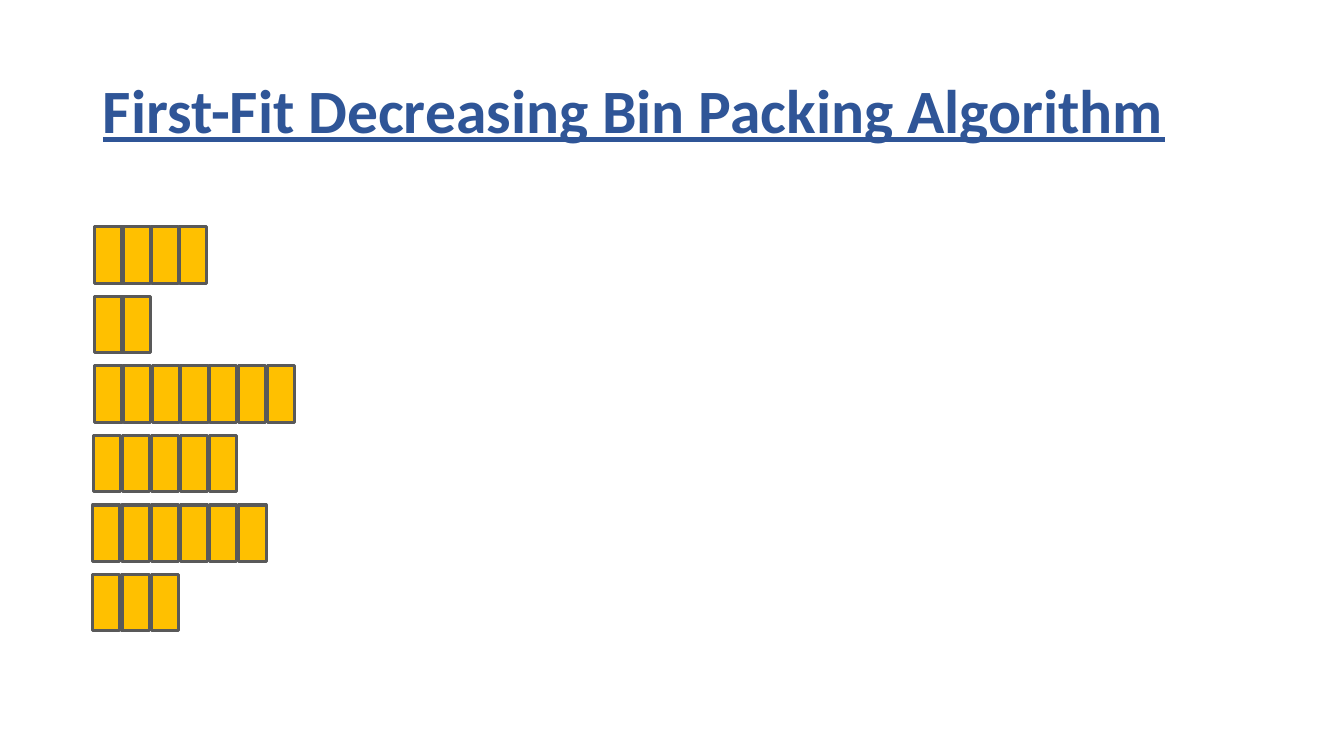
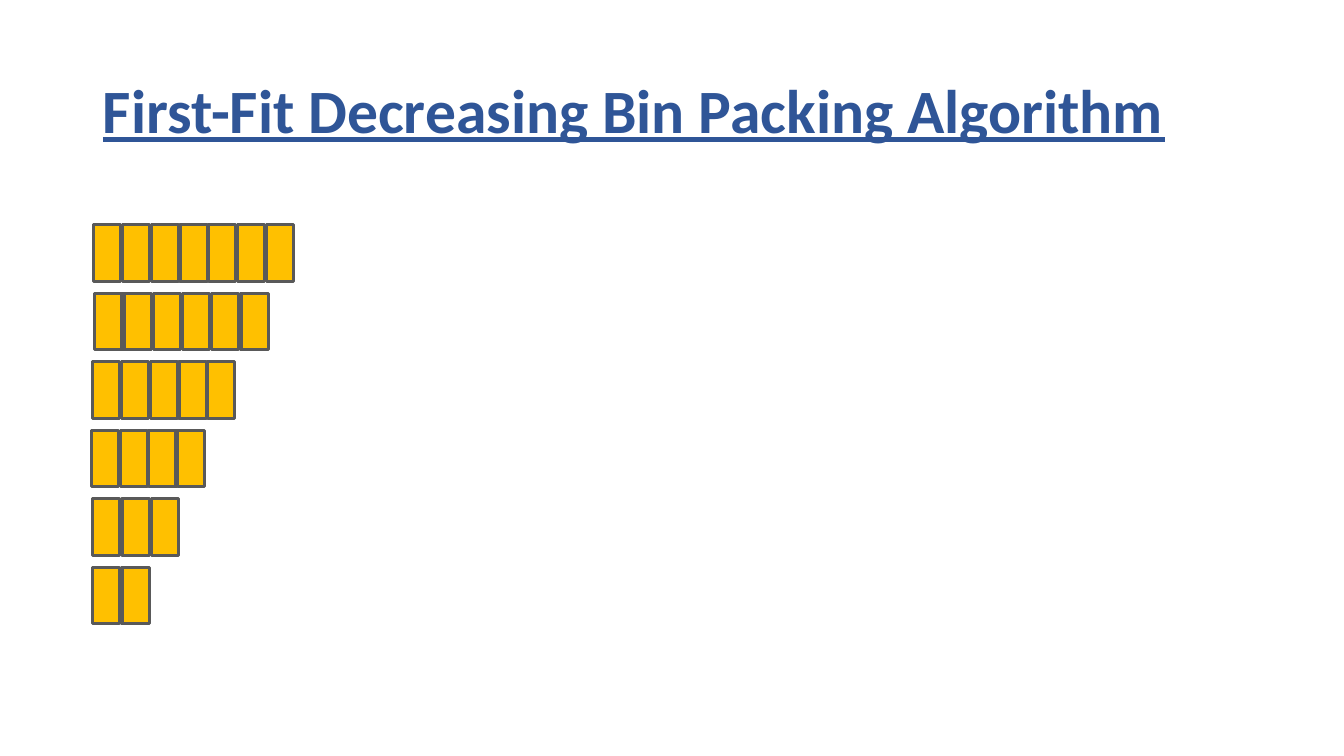
import pptx
import pptx.util
import pptx.dml.color
import pptx.enum.shapes
import pptx.enum.text

TITLE = "First-Fit Decreasing Bin Packing Algorithm"
COLORS = {"title": "2F5597", "item": "FFC000", "outline": "595959"}
FONT = "Calibri"
SLIDES = [
    {"top": 2.25, "row_pitch": 0.69, "items": [
        (4, 0.94, 1.78), (2, 0.94, 1.22), (7, 0.94, 2.65),
        (5, 0.93, 2.08), (6, 0.92, 2.37), (3, 0.92, 1.5)]},
    {"top": 2.23, "row_pitch": 0.68, "items": [
        (7, 0.93, 2.64), (6, 0.94, 2.39), (5, 0.92, 2.06),
        (4, 0.91, 1.76), (3, 0.92, 1.5), (2, 0.92, 1.21)]},
]
UNIT_WIDTH, UNIT_HEIGHT = 0.27, 0.56

inches = pptx.util.Inches


def color(name):
    return pptx.dml.color.RGBColor.from_string(COLORS[name])


def place_title(page):
    box = page.shapes.title
    box.left, box.top, box.width, box.height = map(inches, (0.92, 0.4, 11.5, 1.45))
    frame = box.text_frame
    frame.text = TITLE
    frame.word_wrap = True
    frame.auto_size = pptx.enum.text.MSO_AUTO_SIZE.NONE
    frame.vertical_anchor = pptx.enum.text.MSO_ANCHOR.MIDDLE
    para = frame.paragraphs[0]
    para.alignment = pptx.enum.text.PP_ALIGN.LEFT
    para.line_spacing = 0.9
    para.font.name = FONT
    para.font.size = pptx.util.Pt(44)
    para.font.bold = True
    para.font.underline = True
    para.font.color.rgb = color("title")


def draw_unit(page, left, top):
    unit = page.shapes.add_shape(
        pptx.enum.shapes.MSO_SHAPE.RECTANGLE,
        *map(inches, (left, top, UNIT_WIDTH, UNIT_HEIGHT)))
    unit.shadow.inherit = False
    unit.fill.solid()
    unit.fill.fore_color.rgb = color("item")
    unit.line.color.rgb = color("outline")
    unit.line.width = pptx.util.Pt(2.25)


def draw_items(page, top, row_pitch, items):
    for row, (size, first, last) in enumerate(items):
        unit_pitch = (last - first) / (size - 1)
        for column in range(size):
            draw_unit(page, first + column * unit_pitch, top + row * row_pitch)


deck = pptx.Presentation()
deck.slide_width, deck.slide_height = inches(13.33), inches(7.5)
title_only = deck.slide_layouts.get_by_name("Title Only")
for content in SLIDES:
    page = deck.slides.add_slide(title_only)
    place_title(page)
    draw_items(page, **content)
deck.save("out.pptx")
